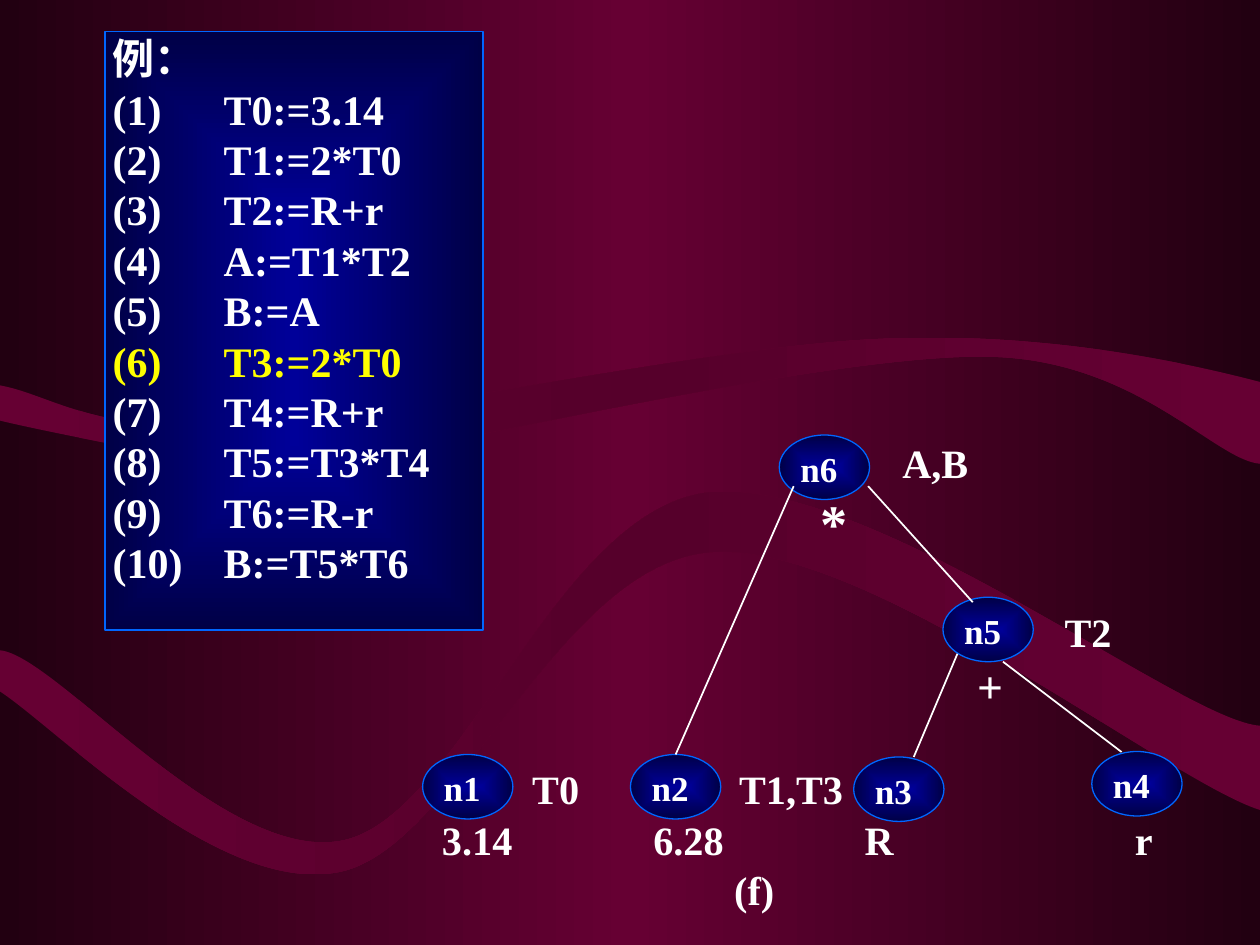
from lxml import etree
from pptx import Presentation
from pptx.dml.color import RGBColor
from pptx.enum.shapes import MSO_CONNECTOR, MSO_SHAPE
from pptx.enum.text import MSO_ANCHOR, PP_ALIGN
from pptx.oxml.ns import qn
from pptx.util import Cm, Pt

OVAL, RECT = MSO_SHAPE.OVAL, MSO_SHAPE.RECTANGLE
STRAIGHT = MSO_CONNECTOR.STRAIGHT
TOP, LEFT = MSO_ANCHOR.TOP, PP_ALIGN.LEFT

WHITE = RGBColor(0xFF, 0xFF, 0xFF)
YELLOW = RGBColor(0xFF, 0xFF, 0x00)
EDGE_BLUE = RGBColor(0x00, 0x66, 0xFF)
BLUE = RGBColor(0x00, 0x00, 0x99)
NAVY = RGBColor(0x00, 0x00, 0x46)
WINE = RGBColor(0x66, 0x00, 0x33)
DARK_WINE = RGBColor(0x56, 0x00, 0x2B)
BLACK_WINE = RGBColor(0x22, 0x00, 0x11)


def set_gradient(fill, element, colors, from_center=False):
    """Spread the colours evenly, left to right or outwards from the centre."""
    fill.gradient()
    grad = element.find(".//" + qn("a:gradFill"))
    for child in list(grad):
        grad.remove(child)
    stops = etree.SubElement(grad, qn("a:gsLst"))
    for i, color in enumerate(colors):
        stop = etree.SubElement(stops, qn("a:gs"), pos=str(100000 * i // (len(colors) - 1)))
        etree.SubElement(stop, qn("a:srgbClr"), val=str(color))
    if from_center:
        shade = etree.SubElement(grad, qn("a:path"), path="rect")
        etree.SubElement(shade, qn("a:fillToRect"), l="50000", t="50000", r="50000", b="50000")
    else:
        etree.SubElement(grad, qn("a:lin"), ang="0", scaled="0")


def write_lines(sp, lines, size, insets, tabs=(), spacing=None, marked=None):
    """Write bold lines from the top left; tabs in cm, marked is a yellow line."""
    tf = sp.text_frame
    tf.word_wrap = True
    tf.vertical_anchor = TOP
    tf.margin_left, tf.margin_top, tf.margin_right, tf.margin_bottom = map(Cm, insets)
    for i, line in enumerate(lines):
        p = tf.paragraphs[0] if i == 0 else tf.add_paragraph()
        p.alignment = LEFT
        p.line_spacing = spacing
        if tabs:
            tab_list = etree.SubElement(p._p.get_or_add_pPr(), qn("a:tabLst"))
            for x in tabs:
                etree.SubElement(tab_list, qn("a:tab"), pos=str(Cm(x)), algn="l")
        r = p.add_run()
        r.text = line
        r.font.color.rgb = YELLOW if i == marked else WHITE
        for key, value in {"name": "Times New Roman", "bold": True, "size": Pt(size)}.items():
            setattr(r.font, key, value)


prs = Presentation()
prs.slide_width, prs.slide_height = Cm(25.4), Cm(19.05)
s = prs.slides.add_slide(prs.slide_layouts[6])

# Background
set_gradient(s.background.fill, s._element, [BLACK_WINE, WINE, BLACK_WINE])

# Waves in cm: two numbers are a line, six are a Bezier curve
waves = [
    [(0, 7.77), (0, 8.48),
     (0.94, 8.71, 4.45, 9.4, 5.64, 9.53), (6.83, 9.65, 4.83, 9.63, 7.16, 9.25),
     (9.53, 8.84, 16.76, 7.16, 19.81, 7.19), (22.86, 7.19, 24.46, 9.27, 25.4, 9.35),
     (25.4, 7.7),
     (24.13, 7.37, 21.23, 6.68, 17.81, 6.83), (14.38, 6.96, 7.8, 8.43, 4.83, 8.59),
     (1.85, 8.74, 1.02, 7.95, 0, 7.77)],
    [(0, 13.11), (0, 13.94),
     (1.14, 14.68, 4.42, 18.06, 6.83, 17.58), (9.22, 17.12, 11.25, 11.33, 14.35, 11.13),
     (17.45, 10.9, 23.55, 15.75, 25.4, 16.33),
     (25.4, 14.63),
     (23.83, 14.53, 17.55, 9.58, 14.27, 9.93), (11.2, 10.31, 9.32, 16.41, 6.93, 16.94),
     (4.55, 17.45, 1.14, 13.21, 0, 13.11)],
]
for start, *segments in waves:
    builder = s.shapes.build_freeform(*map(Cm, start))
    builder.add_line_segments([tuple(map(Cm, seg[-2:])) for seg in segments], close=True)
    wave = builder.convert_to_shape()
    wave.shadow.inherit = False
    wave.line.fill.background()
    set_gradient(wave.fill, wave._element, [WINE, DARK_WINE, WINE])
    for line, seg in zip(list(wave._element.iter(qn("a:lnTo"))), segments):
        if len(seg) == 6:
            curve = etree.Element(qn("a:cubicBezTo"))
            for x, y in zip(seg[::2], seg[1::2]):
                etree.SubElement(curve, qn("a:pt"), x=str(Cm(x) - wave.left),
                                 y=str(Cm(y) - wave.top))
            line.getparent().replace(line, curve)

# Label rows: text, left, top, width, height, size, indent, tab stops after it
labels = [
    ("A,B", 4.85, 8.84, 14.76, 0.97, 23, 13.34, ()),
    ("*", 16.28, 9.86, 0.81, 1.32, 31, 0.27, ()),
    ("T2", 4.85, 12.24, 17.6, 0.97, 23, 16.61, ()),
    ("+", 19.46, 13.26, 0.76, 1.09, 26, 0.24, ()),
    ("T0\tT1,T3", 4.85, 15.4, 12.19, 0.97, 23, 5.88, (4.17,)),
    ("3.14\t6.28\tR\tr", 4.85, 16.43, 18.42, 0.97, 23, 4.06, (4.26, 8.52, 13.97)),
    ("(f)", 4.85, 17.45, 10.77, 0.97, 23, 9.95, ()),
]
for text, x, y, w, h, size, indent, tabs in labels:
    box = s.shapes.add_textbox(Cm(x), Cm(y), Cm(w + 0.1), Cm(h))
    write_lines(box, [text], size, (indent, 0, 0, 0), tabs)

# Graph nodes
node_places = {"n1": (8.52, 15.21), "n2": (12.71, 15.21), "n3": (17.21, 15.26),
               "n4": (22.01, 15.15), "n5": (19.01, 12.04), "n6": (15.71, 8.77)}
nodes = {name: s.shapes.add_shape(OVAL, Cm(x), Cm(y), Cm(1.82), Cm(1.3))
         for name, (x, y) in node_places.items()}
for name, node in nodes.items():
    write_lines(node, [name], 20, (0.16, 0.06, 0, 0))

# Graph edges
edges = {"n5-n4": (20.22, 13.34, 22.61, 15.16), "n6-n5": (17.5, 9.8, 19.61, 12.14),
         "n6-n2": (16, 9.8, 13.62, 15.21), "n5-n3": (19.3, 13.18, 18.42, 15.26)}
for name, ends in edges.items():
    edge = s.shapes.add_connector(STRAIGHT, *map(Cm, ends))
    edge.line.color.rgb = WHITE
    edge.line.width = Pt(1)
    etree.SubElement(edge._element.spPr, qn("a:effectLst"))
    if name == "n6-n2":
        edge.end_connect(nodes["n2"], 0)

# Code panel
statements = ["T0:=3.14", "T1:=2*T0", "T2:=R+r", "A:=T1*T2", "B:=A",
              "T3:=2*T0", "T4:=R+r", "T5:=T3*T4", "T6:=R-r", "B:=T5*T6"]
lines = ["例："] + [f"({i})\t{code}" for i, code in enumerate(statements, 1)]
panel = s.shapes.add_shape(RECT, Cm(2.12), Cm(0.63), Cm(7.62), Cm(12.07))
write_lines(panel, lines, 24, (0.15, 0.03, 0.15, 0.03), (2.24,), Pt(28.8), marked=6)

# Blue look shared by the nodes and the panel
for sp in [*nodes.values(), panel]:
    sp.shadow.inherit = False
    set_gradient(sp.fill, sp._element, [BLUE, NAVY], from_center=True)
    sp.line.color.rgb = EDGE_BLUE
    sp.line.width = Pt(0.75)

prs.save("out.pptx")
